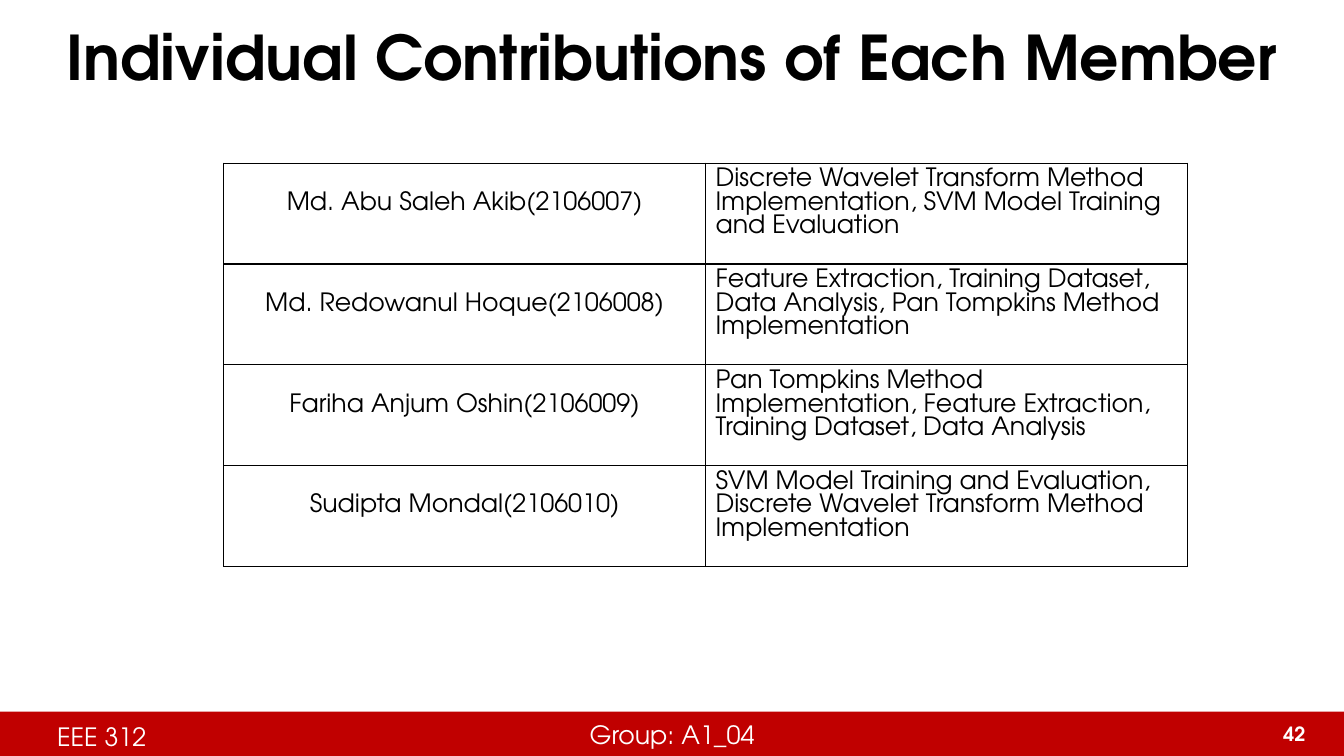
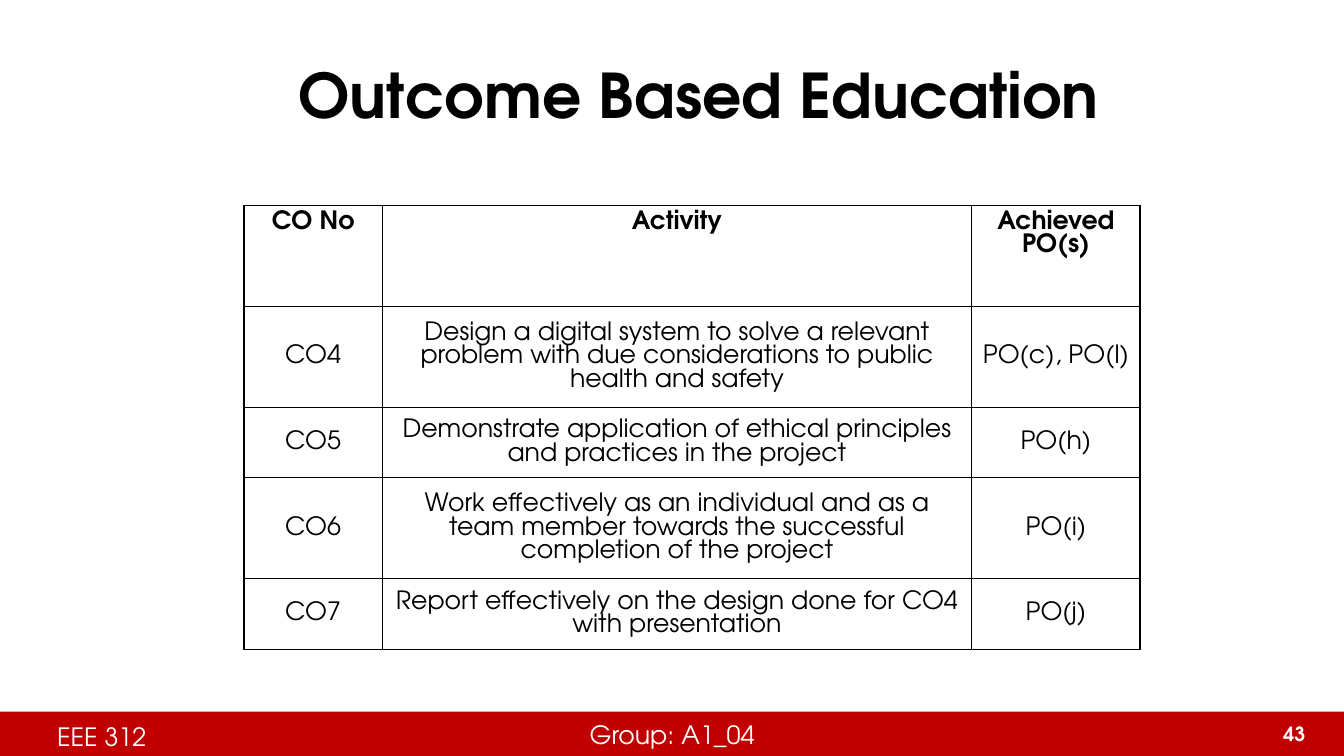
"""Builds the closing slides on member contributions and course outcomes."""
from lxml.etree import SubElement
from pptx import Presentation
from pptx.dml.color import RGBColor
from pptx.enum.shapes import MSO_SHAPE as Shape
from pptx.enum.text import MSO_ANCHOR as Anchor, MSO_AUTO_SIZE as AutoSize, PP_ALIGN as Align
from pptx.oxml.ns import qn
from pptx.util import Cm, Pt

BLACK = RGBColor(0x00, 0x00, 0x00)
WHITE = RGBColor(0xFF, 0xFF, 0xFF)
RED = RGBColor(0xC0, 0x00, 0x00)
FONT = "TeX Gyre Adventor"
WIDTH, HEIGHT = 33.87, 19.05
BAND_TOP = 17.93

TITLE = {"size": Pt(44), "bold": True}
BODY = {"size": Pt(18), "bold": False}
HEADER = {"size": Pt(18), "bold": True}
PAGE_NUMBER = {"size": Pt(14), "bold": True}

CENTERED = {"alignment": Align.CENTER}
LEFT = {"alignment": Align.LEFT}
RIGHT = {"alignment": Align.RIGHT}
DOUBLE_SPACED = {"alignment": Align.CENTER, "line_spacing": 2.0}

FOOTERS = [
    ("EEE 312", (1.19, 18.06, 13.41, 1.04)),
    ("Group: A1_04", (14.61, 18.01, 17.09, 1.04)),
]
NUMBER_AREA = (31.7, 18.06, 1.45, 0.86)

CONTRIBUTIONS = [
    ("Md. Abu Saleh Akib(2106007)",
     "Discrete Wavelet Transform Method Implementation, SVM Model Training and Evaluation"),
    ("Md. Redowanul Hoque(2106008)",
     "Feature Extraction, Training Dataset, Data Analysis, Pan Tompkins Method Implementation"),
    ("Fariha Anjum Oshin(2106009)",
     "Pan Tompkins Method Implementation, Feature Extraction, Training Dataset, Data Analysis"),
    ("Sudipta Mondal(2106010)",
     "SVM Model Training and Evaluation, Discrete Wavelet Transform Method Implementation"),
]
OUTCOMES = [
    ("CO No", "Activity", "Achieved PO(s)"),
    ("CO4", "Design a digital system to solve a relevant problem with due "
            "considerations to public health and safety", "PO(c), PO(l)"),
    ("CO5", "Demonstrate application of ethical principles and practices in the project", "PO(h)"),
    ("CO6", "Work effectively as an individual and as a team member towards the "
            "successful completion of the project", "PO(i)"),
    ("CO7", "Report effectively on the design done for CO4 with presentation", "PO(j)"),
]

SLIDES = [
    {"number": 42, "title": "Individual Contributions of Each Member",
     "title_area": (1.32, 0.36, 31.24, 2.13), "rows": CONTRIBUTIONS,
     "corner": (5.64, 4.11), "widths": (12.14, 12.14), "heights": (2.54,) * 4,
     "column_styles": (DOUBLE_SPACED, LEFT), "has_header": False, "anchor": Anchor.TOP},
    {"number": 43, "title": "Outcome Based Education",
     "title_area": (6.53, 1.3, 22.17, 2.13), "rows": OUTCOMES,
     "corner": (6.15, 5.18), "widths": (3.48, 14.86, 4.24),
     "heights": (2.54, 2.54, 1.78, 2.54, 1.78),
     "column_styles": (CENTERED,) * 3, "has_header": True, "anchor": Anchor.MIDDLE},
]


def apply(target, values):
    for name, value in values.items():
        setattr(target, name, value)


def write(frame, text, font, paragraph, color=BLACK):
    para = frame.paragraphs[0]
    apply(para, paragraph)
    span = para.add_run()
    span.text = text
    apply(span.font, {"name": FONT, **font})
    span.font.color.rgb = color


def add_text(page, area, text, font, paragraph, color=BLACK, **frame_values):
    box = page.shapes.add_textbox(*map(Cm, area))
    apply(box.text_frame, {"word_wrap": True, **frame_values})
    write(box.text_frame, text, font, paragraph, color)


def add_footer(page, number):
    band = page.shapes.add_shape(Shape.RECTANGLE, 0, Cm(BAND_TOP), Cm(WIDTH), Cm(HEIGHT - BAND_TOP))
    band.shadow.inherit = False
    band.fill.solid()
    band.fill.fore_color.rgb = RED
    band.line.fill.background()
    add_text(page, NUMBER_AREA, str(number), PAGE_NUMBER, RIGHT, WHITE,
             vertical_anchor=Anchor.BOTTOM)
    for text, area in FOOTERS:
        add_text(page, area, text, BODY, LEFT, WHITE)


def add_borders(cell):
    properties = cell._tc.get_or_add_tcPr()
    for side in ("a:lnL", "a:lnR", "a:lnT", "a:lnB"):
        line = SubElement(properties, qn(side), w=str(Pt(1)))
        fill = SubElement(line, qn("a:solidFill"))
        SubElement(fill, qn("a:srgbClr"), val=str(BLACK))


def add_grid(page, spec_values):
    rows, widths, heights = (spec_values[key] for key in ("rows", "widths", "heights"))
    area = (*spec_values["corner"], sum(widths), sum(heights))
    table = page.shapes.add_table(len(rows), len(widths), *map(Cm, area)).table
    apply(table, {"first_row": False, "horz_banding": False})
    for column, width in zip(table.columns, widths):
        column.width = Cm(width)
    for index, (row, height, texts) in enumerate(zip(table.rows, heights, rows)):
        row.height = Cm(height)
        is_header = spec_values["has_header"] and index == 0
        for cell, text, style in zip(row.cells, texts, spec_values["column_styles"]):
            add_borders(cell)
            cell.fill.background()
            cell.vertical_anchor = Anchor.TOP if is_header else spec_values["anchor"]
            write(cell.text_frame, text, HEADER if is_header else BODY, style)


def main():
    deck = Presentation()
    apply(deck, {"slide_width": Cm(WIDTH), "slide_height": Cm(HEIGHT)})
    for content in SLIDES:
        page = deck.slides.add_slide(deck.slide_layouts[6])
        add_footer(page, content["number"])
        add_text(page, content["title_area"], content["title"], TITLE, CENTERED,
                 auto_size=AutoSize.SHAPE_TO_FIT_TEXT)
        add_grid(page, content)
    deck.save("out.pptx")


if __name__ == "__main__":
    main()
